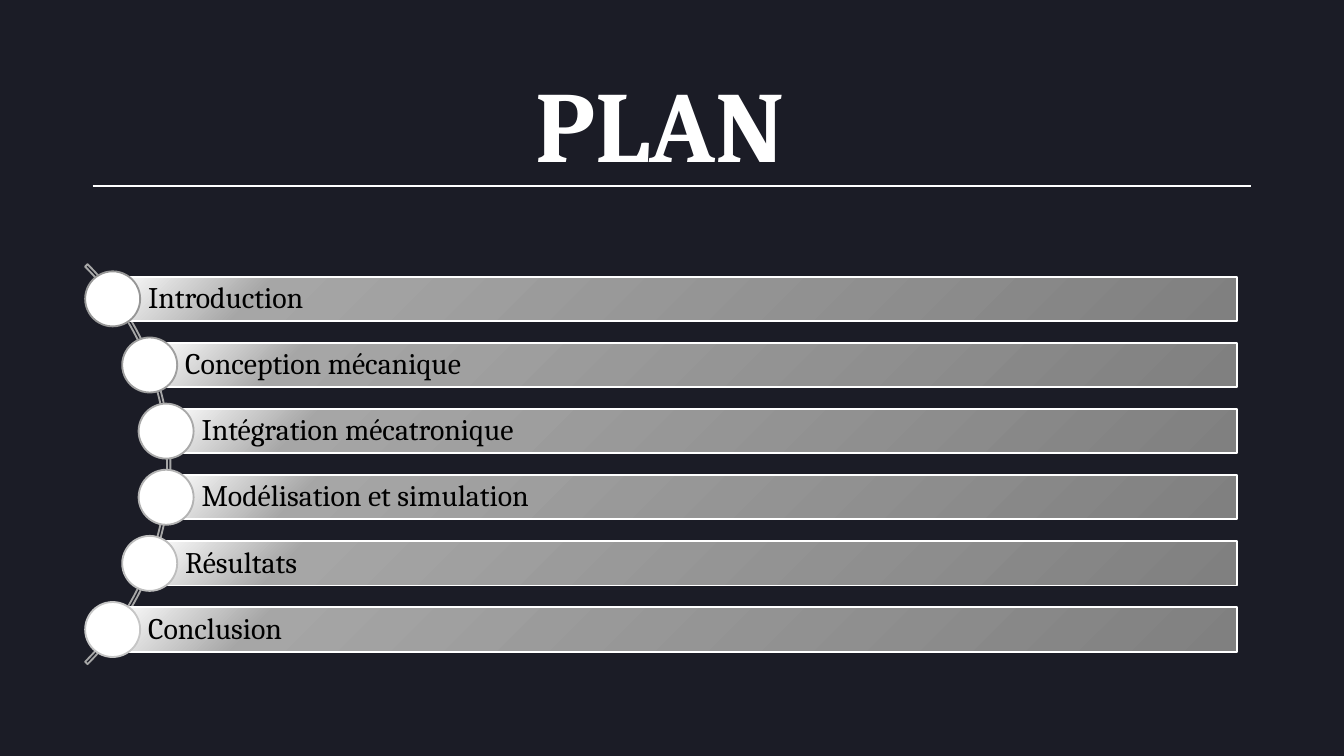
from copy import deepcopy

from lxml import etree
from pptx import Presentation
from pptx.dml.color import RGBColor
from pptx.enum.shapes import MSO_CONNECTOR, MSO_SHAPE
from pptx.enum.text import MSO_ANCHOR, PP_ALIGN
from pptx.oxml.ns import qn
from pptx.util import Cm, Pt

RECTANGLE, OVAL, ARC = MSO_SHAPE.RECTANGLE, MSO_SHAPE.OVAL, MSO_SHAPE.BLOCK_ARC
STRAIGHT = MSO_CONNECTOR.STRAIGHT
MIDDLE, LEFT = MSO_ANCHOR.MIDDLE, PP_ALIGN.LEFT

FONT = "Cambria"
WHITE, BLACK, NAVY = "FFFFFF", "000000", "1B1C26"
BAR_GRADIENT = [(0, "808080"), (0.86, "A6A6A6"), (0.98, "F2F2F2")]

# Label, left edge of the bar in cm, outline of the marker
CHAPTERS = [
    ("Introduction", 2.13, "969696"),
    ("Conception mécanique", 2.83, "9F9F9F"),
    ("Intégration mécatronique", 3.14, "A9A9A9"),
    ("Modélisation et simulation", 3.14, "B3B3B3"),
    ("Résultats", 2.83, "BDBDBD"),
    ("Conclusion", 2.13, "C6C6C6"),
]
BAR_RIGHT, BAR_HEIGHT = 23.38, 0.84
FIRST_TOP, ROW_PITCH = 5.23, 1.25
MARKER_SIZE = 1.04


def rgb(value):
    return RGBColor.from_string(value)


def set_margins(frame, left, top, right, bottom):
    frame.margin_left, frame.margin_top = Cm(left), Cm(top)
    frame.margin_right, frame.margin_bottom = Cm(right), Cm(bottom)


def add_run(paragraph, text, size, color, bold=False):
    run = paragraph.add_run()
    run.text = text
    run.font.name, run.font.size, run.font.bold = FONT, Pt(size), bold
    run.font.color.rgb = rgb(color)
    return run


def add_outlined(slide, kind, left, top, width, height, outline):
    shape = slide.shapes.add_shape(kind, Cm(left), Cm(top), Cm(width), Cm(height))
    shape.shadow.inherit = False
    shape.line.color.rgb = rgb(outline)
    shape.line.width = Pt(1)
    return shape


def fill_gradient(shape, stops):
    shape.fill.gradient()
    shape.fill.gradient_angle = 135
    stop_list = shape._element.spPr.find(qn("a:gradFill")).find(qn("a:gsLst"))
    while len(stop_list) < len(stops):
        stop_list.append(deepcopy(stop_list[-1]))
    for stop, (position, color) in zip(shape.fill.gradient_stops, stops):
        stop.position = position
        stop.color.rgb = rgb(color)


def add_title(slide, text):
    title = slide.shapes.add_textbox(Cm(10.13), Cm(1.17), Cm(4.78), Cm(2.29))
    frame = title.text_frame
    frame.word_wrap = False
    set_margins(frame, 0, 0, 0, 0)
    paragraph = frame.paragraphs[0]
    paragraph.line_spacing = Pt(64.8)
    run = add_run(paragraph, text, 54, WHITE, bold=True)
    run.font._element.set("spc", "-10")


def add_rule(slide, left, right, y):
    rule = slide.shapes.add_connector(STRAIGHT, Cm(left), Cm(y), Cm(right), Cm(y))
    rule.line.color.rgb = rgb(WHITE)
    rule.line.width = Pt(1)
    etree.SubElement(rule._element.spPr, qn("a:effectLst"))


def add_arc(slide):
    arc = add_outlined(slide, ARC, -7.47, 3.43, 10.69, 10.69, "A6A6A6")
    arc.fill.background()
    for index, value in enumerate((189, 27, 0.006)):
        arc.adjustments[index] = value


def add_bar(slide, label, left, top):
    bar = add_outlined(slide, RECTANGLE, left, top, BAR_RIGHT - left, BAR_HEIGHT, WHITE)
    fill_gradient(bar, BAR_GRADIENT)
    frame = bar.text_frame
    frame.word_wrap = True
    frame.vertical_anchor = MIDDLE
    set_margins(frame, 0.67, 0.1, 0.1, 0.1)
    paragraph = frame.paragraphs[0]
    paragraph.alignment = LEFT
    paragraph.line_spacing = 0.9
    add_run(paragraph, label, 16, BLACK)


def add_marker(slide, center_x, center_y, outline):
    radius = MARKER_SIZE / 2
    marker = add_outlined(slide, OVAL, center_x - radius, center_y - radius,
                          MARKER_SIZE, MARKER_SIZE, outline)
    marker.fill.solid()
    marker.fill.fore_color.rgb = rgb(WHITE)


def main():
    deck = Presentation()
    deck.slide_width, deck.slide_height = Cm(25.4), Cm(14.29)
    slide = deck.slides.add_slide(deck.slide_layouts[6])
    slide.background.fill.solid()
    slide.background.fill.fore_color.rgb = rgb(NAVY)

    # Heading
    add_rule(slide, 1.75, 23.65, 3.52)
    add_title(slide, "PLAN")

    # Chapters along the arc
    add_arc(slide)
    for row, (label, left, outline) in enumerate(CHAPTERS):
        top = FIRST_TOP + row * ROW_PITCH
        add_bar(slide, label, left, top)
        add_marker(slide, left, top + BAR_HEIGHT / 2, outline)

    deck.save("out.pptx")


if __name__ == "__main__":
    main()
